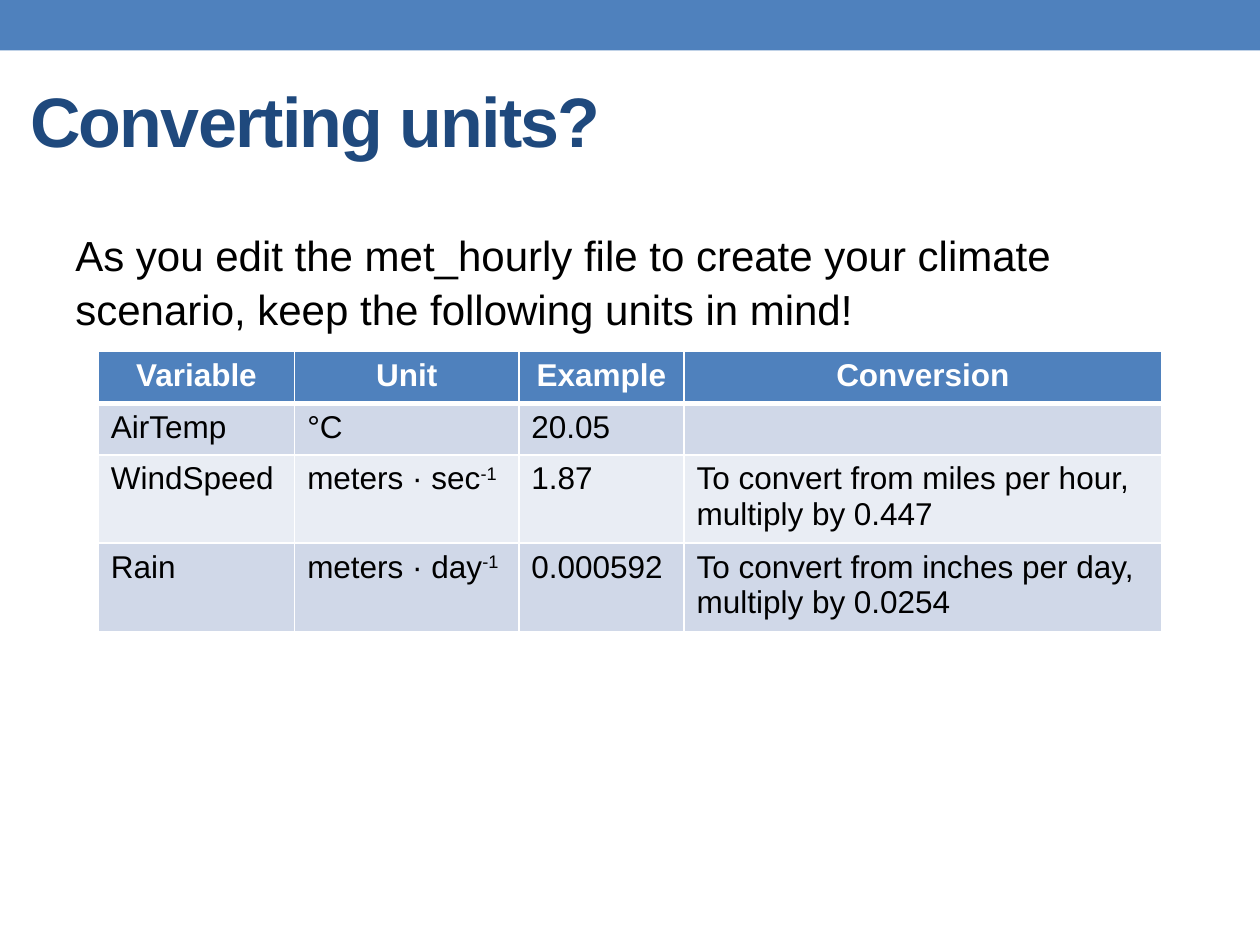
from lxml import etree
from pptx import Presentation
from pptx.dml.color import RGBColor
from pptx.enum.shapes import MSO_SHAPE
from pptx.enum.text import MSO_ANCHOR, PP_ALIGN
from pptx.oxml.ns import qn
from pptx.util import Cm, Pt

RECTANGLE = MSO_SHAPE.RECTANGLE
MIDDLE, TOP = MSO_ANCHOR.MIDDLE, MSO_ANCHOR.TOP
CENTER, LEFT = PP_ALIGN.CENTER, PP_ALIGN.LEFT

FONT = "Arial"
BLUE, NAVY, WHITE, BLACK = "4F81BD", "1F497D", "FFFFFF", "000000"
BANDS = ("D0D8E8", "E9EDF4")

COLUMN_WIDTHS = (3.96, 4.52, 3.33, 9.63)
ROW_HEIGHTS = (1.04, 1.04, 1.67, 1.67)
HEADINGS = ("Variable", "Unit", "Example", "Conversion")
# Each cell is a list of lines; a line is (text, superscript)
UNITS = (
    ([("AirTemp", "")], [("°C", "")], [("20.05", "")], []),
    ([("WindSpeed", "")], [("meters · sec", "-1")], [("1.87", "")],
     [("To convert from miles per hour,", ""), ("multiply by 0.447", "")]),
    ([("Rain", "")], [("meters · day", "-1")], [("0.000592", "")],
     [("To convert from inches per day,", ""), ("multiply by 0.0254", "")]),
)


def color(hex_value):
    return RGBColor.from_string(hex_value)


def add_run(paragraph, text, size, hex_value, bold=False):
    run = paragraph.add_run()
    run.text = text
    run.font.name = FONT
    run.font.size = Pt(size)
    run.font.bold = bold
    run.font.color.rgb = color(hex_value)
    return run


def add_text_frame(slide, box, anchor):
    frame = slide.shapes.add_textbox(*map(Cm, box)).text_frame
    frame.word_wrap = True
    frame.vertical_anchor = anchor
    return frame


def add_top_band(slide, box):
    band = slide.shapes.add_shape(RECTANGLE, *map(Cm, box))
    band.shadow.inherit = False
    band.fill.solid()
    band.fill.fore_color.rgb = color(BLUE)
    band.line.fill.background()


def add_title(slide, box):
    frame = add_text_frame(slide, box, MIDDLE)
    frame.margin_left = Cm(0.61)
    title = add_run(frame.paragraphs[0], "Converting units?", 40, NAVY, bold=True)
    title._r.get_or_add_rPr().set("spc", "-100")


def add_introduction(slide, box):
    paragraph = add_text_frame(slide, box, TOP).paragraphs[0]
    paragraph.line_spacing = 1.06
    add_run(paragraph, "As you edit the met_hourly file to create your climate "
            "scenario, keep the following units in mind!", 24, BLACK)


def style_cell(cell, fill, top_width, bottom_width):
    """Draw the white borders, then fill the cell."""
    properties = cell._tc.get_or_add_tcPr()
    for side, width in (("L", 1), ("R", 1), ("T", top_width), ("B", bottom_width)):
        border = etree.SubElement(properties, qn(f"a:ln{side}"), w=str(Pt(width)))
        line_fill = etree.SubElement(border, qn("a:solidFill"))
        etree.SubElement(line_fill, qn("a:srgbClr"), val=WHITE)
    cell.fill.solid()
    cell.fill.fore_color.rgb = color(fill)


def write_cell(cell, lines, hex_value, bold, alignment):
    frame = cell.text_frame
    # An empty cell keeps the table's text size
    frame.paragraphs[0].font.size = Pt(18)
    for index, (text, superscript) in enumerate(lines):
        paragraph = frame.add_paragraph() if index else frame.paragraphs[0]
        paragraph.alignment = alignment
        add_run(paragraph, text, 18, hex_value, bold)
        if superscript:
            exponent = add_run(paragraph, superscript, 18, hex_value, bold)
            exponent._r.get_or_add_rPr().set("baseline", "30000")


def add_units_table(slide, left, top):
    rows = [[[(heading, "")] for heading in HEADINGS], *UNITS]
    table = slide.shapes.add_table(
        len(rows), len(HEADINGS), Cm(left), Cm(top),
        Cm(sum(COLUMN_WIDTHS)), Cm(sum(ROW_HEIGHTS))).table
    for column, width in zip(table.columns, COLUMN_WIDTHS):
        column.width = Cm(width)
    for r, (row, height) in enumerate(zip(rows, ROW_HEIGHTS)):
        table.rows[r].height = Cm(height)
        is_header = r == 0
        fill = BLUE if is_header else BANDS[(r - 1) % 2]
        for c, lines in enumerate(row):
            cell = table.cell(r, c)
            # The rule under the header is thicker
            style_cell(cell, fill, 3 if r == 1 else 1, 3 if is_header else 1)
            write_cell(cell, lines, WHITE if is_header else BLACK, is_header,
                       CENTER if is_header else LEFT)


def main():
    presentation = Presentation()
    presentation.slide_width = Cm(25.4)
    presentation.slide_height = Cm(19.05)
    slide = presentation.slides.add_slide(presentation.slide_layouts[6])

    add_top_band(slide, (0, 0, 25.4, 1.02))
    add_title(slide, (0, 1.04, 22.86, 2.74))
    add_introduction(slide, (1.27, 4.45, 22.86, 13.54))
    add_units_table(slide, 1.98, 7.09)

    presentation.save("out.pptx")


if __name__ == "__main__":
    main()
